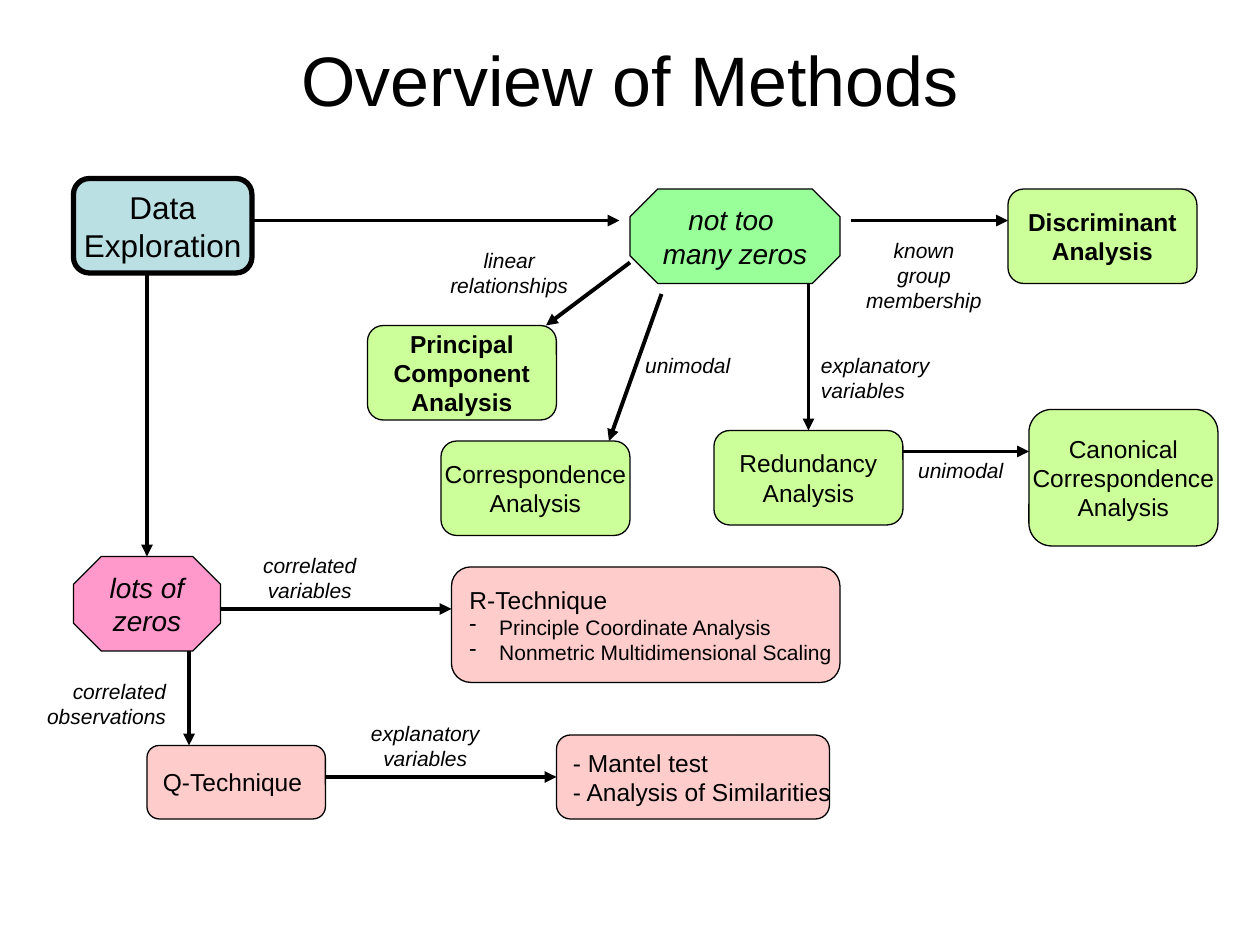
from dataclasses import dataclass
from typing import Optional

from pptx import Presentation
from pptx.dml.color import RGBColor
from pptx.enum.shapes import MSO_CONNECTOR as Connector, MSO_SHAPE as Preset
from pptx.enum.text import MSO_ANCHOR as Anchor, MSO_AUTO_SIZE as AutoSize, PP_ALIGN as Align
from pptx.oxml.ns import qn
from pptx.util import Pt
from lxml.etree import SubElement


@dataclass(frozen=True)
class Theme:
    font: str = "Arial"
    ink: str = "000000"
    start: str = "BBE0E3"
    few_zeros: str = "99FF99"
    many_zeros: str = "FF99CC"
    ordination: str = "CCFF99"
    distance: str = "FFCCCC"
    title_size: float = 40
    start_size: float = 18
    branch_size: float = 16
    method_size: float = 14
    label_size: float = 12
    thin: float = 0.75
    arrow: float = 2.25
    thick: float = 3
    corner: float = 0.167
    cut: float = 0.293
    bullet_indent: float = 17


THEME = Theme()


@dataclass(frozen=True)
class Node:
    lines: tuple[str, ...]
    left: float
    top: float
    width: float
    height: float
    fill: str
    size: float = THEME.method_size
    bold: bool = False
    italic: bool = False
    align: Align = Align.CENTER
    preset: Preset = Preset.ROUNDED_RECTANGLE
    adjustment: float = THEME.corner
    outline: float = THEME.thin
    bullets: tuple[str, ...] = ()


@dataclass(frozen=True)
class Label:
    lines: tuple[str, ...]
    left: float
    top: float
    width: float = 90
    align: Align = Align.CENTER


@dataclass(frozen=True)
class Arrow:
    start: tuple[float, float]
    end: tuple[float, float]
    target: Optional[str] = None
    site: int = 0


def branch(lines: tuple[str, ...], left: float, top: float, width: float, fill: str) -> Node:
    return Node(lines, left, top, width, 54, fill, THEME.branch_size, italic=True,
                preset=Preset.OCTAGON, adjustment=THEME.cut)


def ordination(lines: tuple[str, ...], left: float, top: float,
               height: float = 54, bold: bool = False) -> Node:
    return Node(lines, left, top, 108, height, THEME.ordination, bold=bold)


def distance(lines: tuple[str, ...], left: float, top: float, width: float, height: float,
             bullets: tuple[str, ...] = ()) -> Node:
    return Node(lines, left, top, width, height, THEME.distance, align=Align.LEFT, bullets=bullets)


NODES = {
    "start": Node(("Data", "Exploration"), 42, 102, 102, 54, THEME.start,
                  THEME.start_size, outline=THEME.thick),
    "few zeros": branch(("not too ", "many zeros"), 360, 108, 120, THEME.few_zeros),
    "many zeros": branch(("lots of", "zeros"), 42, 318, 84, THEME.many_zeros),
    "discriminant": ordination(("Discriminant", "Analysis"), 576, 108, bold=True),
    "principal": ordination(("Principal", "Component", "Analysis"), 210, 186, bold=True),
    "correspondence": ordination(("Correspondence", "Analysis"), 252, 252),
    "redundancy": ordination(("Redundancy", "Analysis"), 408, 246),
    "canonical": ordination(("Canonical", "Correspondence", "Analysis"), 588, 234, 78),
    "r technique": distance(("R-Technique",), 258, 324, 222, 66,
                            ("Principle Coordinate Analysis",
                             "Nonmetric Multidimensional Scaling")),
    "q technique": distance(("Q-Technique",), 84, 426, 102, 42),
    "tests": distance(("- Mantel test", "- Analysis of Similarities"), 318, 420, 156, 48),
}

LABELS = (
    Label(("known", "group", "membership"), 480, 132, 96),
    Label(("linear", "relationships"), 246, 138),
    Label(("unimodal",), 348, 198),
    Label(("explanatory", "variables"), 462, 198, align=Align.LEFT),
    Label(("unimodal",), 504, 258),
    Label(("correlated variables",), 132, 312),
    Label(("explanatory", "variables"), 198, 408),
    Label(("correlated observations",), 12, 384, align=Align.RIGHT),
)

ARROWS = (
    Arrow((144, 126), (354, 126)),
    Arrow((486, 126), (576, 126)),
    Arrow((360, 150), (312, 186)),
    Arrow((378, 168), (348, 252)),
    Arrow((462, 162), (462, 246), "redundancy", 0),
    Arrow((516, 258), (588, 258)),
    Arrow((84, 156), (84, 318)),
    Arrow((126, 348), (258, 348)),
    Arrow((108, 372), (108, 426)),
    Arrow((186, 444), (318, 444), "tests", 1),
)


def apply_format(target, values: dict) -> None:
    for name, value in values.items():
        setattr(target, name, value)


def color(value: str) -> RGBColor:
    return RGBColor.from_string(value)


def write_lines(frame, lines: tuple[str, ...], size: float, align: Align,
                bold: bool = False, italic: bool = False, append: bool = False) -> list:
    written = []
    for index, text in enumerate(lines):
        first = index == 0 and not append
        paragraph = frame.paragraphs[0] if first else frame.add_paragraph()
        paragraph.alignment = align
        run = paragraph.add_run()
        run.text = text
        apply_format(run.font, {"name": THEME.font, "size": Pt(size), "bold": bold, "italic": italic})
        run.font.color.rgb = color(THEME.ink)
        written.append(paragraph)
    return written


def add_dash(paragraph) -> None:
    properties = paragraph._p.get_or_add_pPr()
    indent = Pt(THEME.bullet_indent)
    properties.set("marL", str(indent))
    properties.set("indent", str(-indent))
    SubElement(properties, qn("a:buChar")).set("char", "-")


def draw_node(slide, node: Node):
    shape = slide.shapes.add_shape(node.preset, Pt(node.left), Pt(node.top),
                                   Pt(node.width), Pt(node.height))
    shape.adjustments[0] = node.adjustment
    shape.shadow.inherit = False
    shape.fill.solid()
    shape.fill.fore_color.rgb = color(node.fill)
    shape.line.color.rgb = color(THEME.ink)
    shape.line.width = Pt(node.outline)
    frame = shape.text_frame
    apply_format(frame, {"word_wrap": False, "vertical_anchor": Anchor.MIDDLE})
    write_lines(frame, node.lines, node.size, node.align, node.bold, node.italic)
    for paragraph in write_lines(frame, node.bullets, THEME.label_size, node.align, append=True):
        add_dash(paragraph)
    return shape


def draw_label(slide, label: Label) -> None:
    height = 36 if len(label.lines) == 1 and " " in label.lines[0] else 7.2 + 14.4 * len(label.lines)
    box = slide.shapes.add_textbox(Pt(label.left), Pt(label.top), Pt(label.width), Pt(height))
    apply_format(box.text_frame, {"word_wrap": True, "auto_size": AutoSize.SHAPE_TO_FIT_TEXT})
    write_lines(box.text_frame, label.lines, THEME.label_size, label.align, italic=True)


def draw_arrow(slide, arrow: Arrow, shapes: dict) -> None:
    ends = [Pt(value) for value in arrow.start + arrow.end]
    connector = slide.shapes.add_connector(Connector.STRAIGHT, *ends)
    if arrow.target:
        connector.end_connect(shapes[arrow.target], arrow.site)
    connector.line.color.rgb = color(THEME.ink)
    connector.line.width = Pt(THEME.arrow)
    properties = connector._element.spPr
    SubElement(properties.find(qn("a:ln")), qn("a:tailEnd")).set("type", "triangle")
    SubElement(properties, qn("a:effectLst"))


def draw_title(slide, text: str) -> None:
    title = slide.shapes.title
    apply_format(title, {"left": Pt(36), "top": Pt(0), "width": Pt(648), "height": Pt(90)})
    apply_format(title.text_frame, {"vertical_anchor": Anchor.MIDDLE, "auto_size": AutoSize.NONE})
    write_lines(title.text_frame, (text,), THEME.title_size, Align.CENTER)


def main() -> None:
    presentation = Presentation()
    apply_format(presentation, {"slide_width": Pt(720), "slide_height": Pt(540)})
    slide = presentation.slides.add_slide(presentation.slide_layouts[5])
    draw_title(slide, "Overview of Methods")
    shapes = {name: draw_node(slide, node) for name, node in NODES.items()}
    for label in LABELS:
        draw_label(slide, label)
    for arrow in ARROWS:
        draw_arrow(slide, arrow, shapes)
    presentation.save("out.pptx")


if __name__ == "__main__":
    main()
